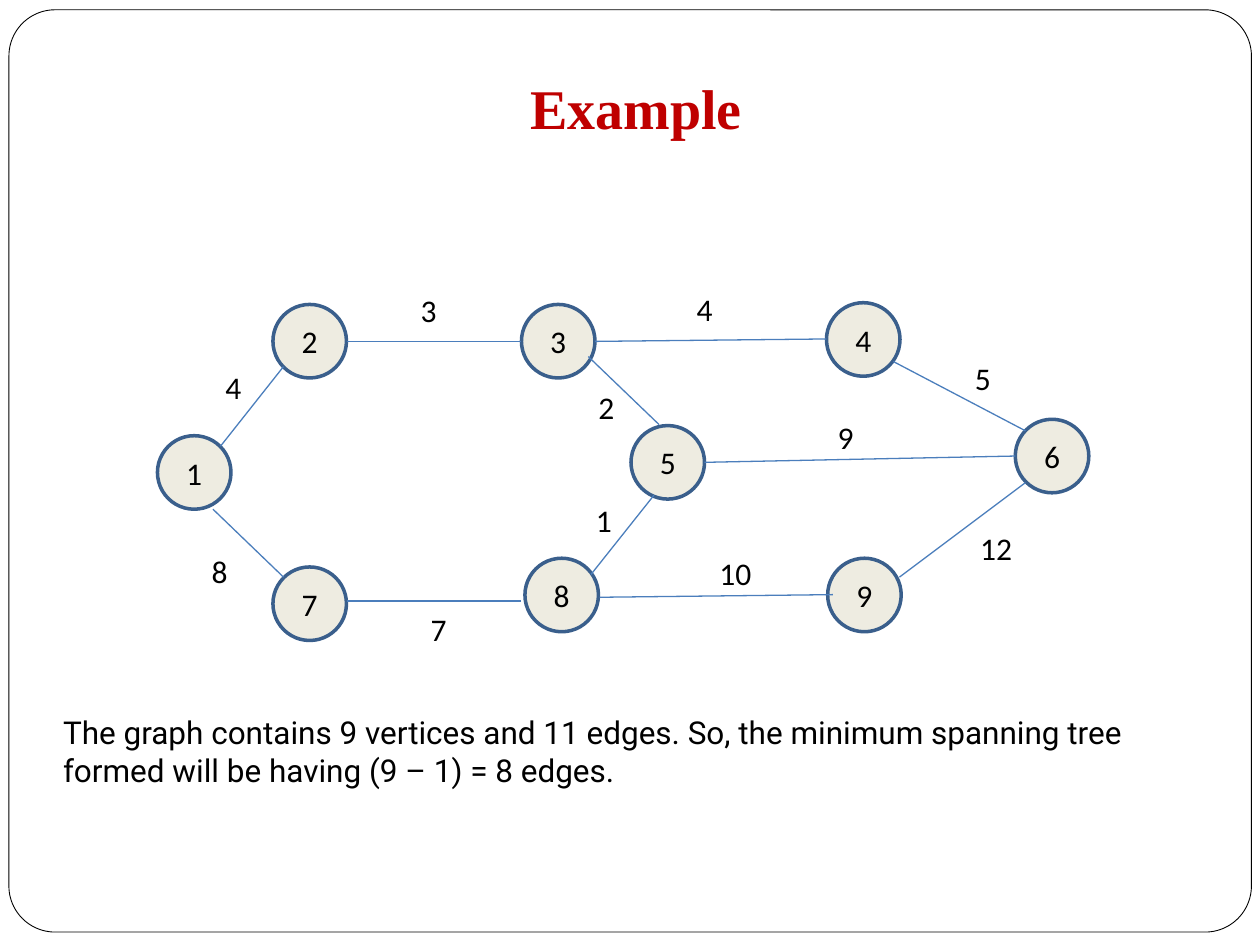
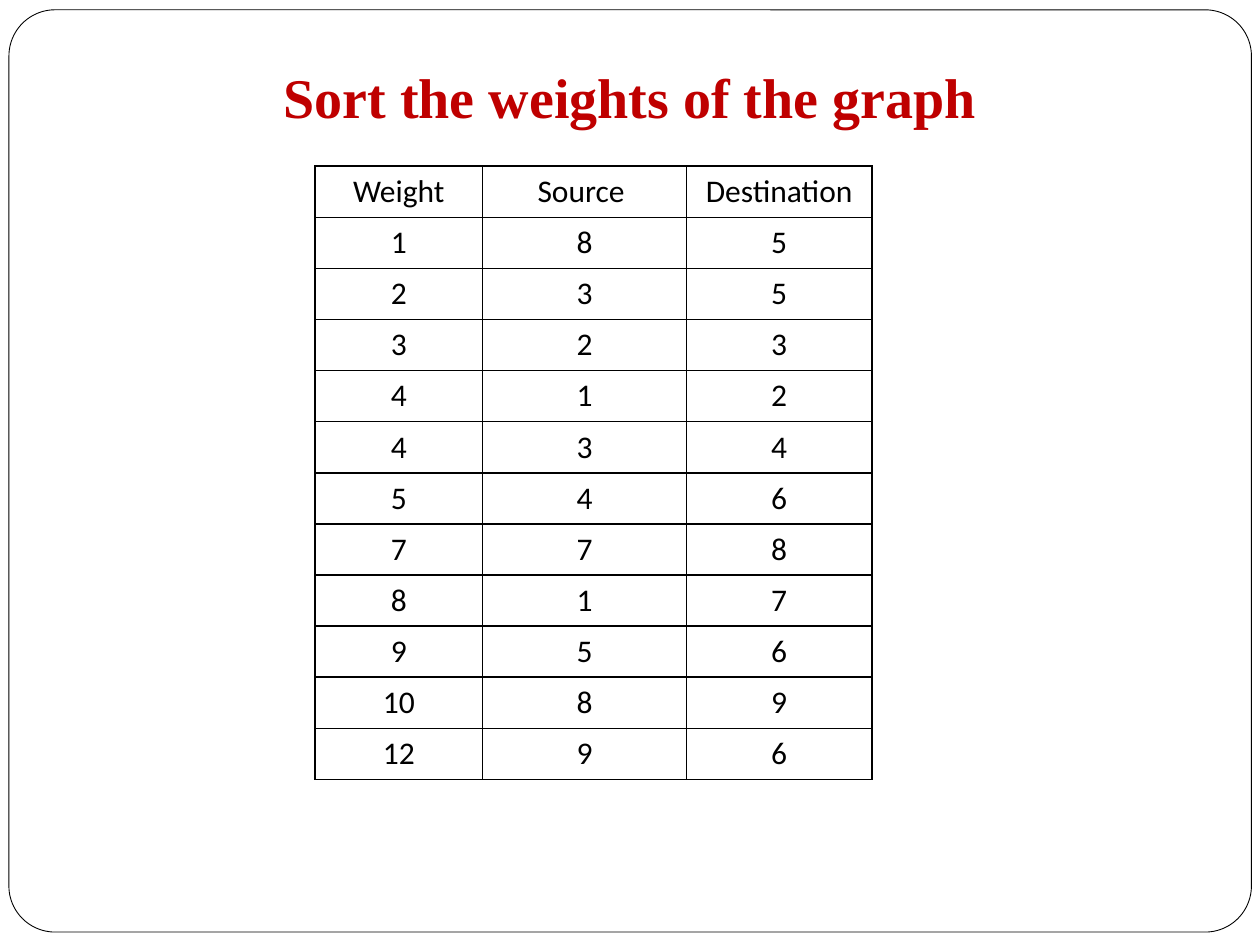
"""Build two slides on sorting the weighted edges of a graph."""
from typing import NamedTuple

from lxml.etree import SubElement
from pptx import Presentation
from pptx.dml.color import RGBColor
from pptx.enum.shapes import MSO_CONNECTOR as Connector, MSO_SHAPE as Preset
from pptx.enum.text import MSO_ANCHOR as Anchor, PP_ALIGN as Align
from pptx.oxml.ns import qn
from pptx.slide import Slide
from pptx.table import _Cell as Cell
from pptx.text.text import TextFrame
from pptx.util import Pt

COLORS = {
    "title": "BF0000",
    "text": "000000",
    "frame": "000000",
    "node": "EEECE1",
    "outline": "3A5F8C",
    "edge": "4B7EBC",
}
SLIDE_WIDTH, SLIDE_HEIGHT = 720, 540
NODE_SIZE = 42
LABEL_HEIGHT = 29
LABEL_INSETS, DIGIT_WIDTH = 14.4, 9.1
TABLE_LEFT, TABLE_TOP, ROW_HEIGHT = 180, 95, 29.22
COLUMN_WIDTHS = (95.8, 116.6, 105.8)
HEADERS = ("Weight", "Source ", "Destination")


class Point(NamedTuple):
    x: float
    y: float


class TextStyle(NamedTuple):
    font: str
    size: float
    color: str
    bold: bool = False


class Node(NamedTuple):
    name: int
    corner: Point


class Edge(NamedTuple):
    weight: int
    source: int
    destination: int
    start: Point
    end: Point
    label: Point


TITLE = TextStyle("Times New Roman", 32, "title", True)
BODY = TextStyle("Roboto", 18, "text")
GRAPH = TextStyle("Calibri", 18, "text")

NODES = (
    Node(1, Point(90, 249)),
    Node(2, Point(156, 174)),
    Node(3, Point(298, 174)),
    Node(4, Point(472.3, 173)),
    Node(5, Point(360.6, 243.2)),
    Node(6, Point(580.2, 239.6)),
    Node(7, Point(156, 324)),
    Node(8, Point(300, 319)),
    Node(9, Point(473, 319)),
)
EDGES = (
    Edge(4, 1, 2, Point(126, 255), Point(162, 209.5), Point(121.7, 206.6)),
    Edge(8, 1, 7, Point(121.7, 291), Point(162, 329.8), Point(113.8, 311.8)),
    Edge(3, 2, 3, Point(198, 195), Point(298, 195), Point(233.3, 162.7)),
    Edge(7, 7, 8, Point(198, 343.5), Point(298, 343.5), Point(239, 344.9)),
    Edge(2, 3, 5, Point(336.2, 203.8), Point(376.6, 242.6), Point(334.8, 218.2)),
    Edge(1, 8, 5, Point(337.7, 328.3), Point(373.7, 283), Point(333.4, 283)),
    Edge(9, 5, 6, Point(402.5, 264.2), Point(580.3, 260.6), Point(471.6, 235.4)),
    Edge(4, 3, 4, Point(340, 195.1), Point(472.3, 193.7), Point(391, 162)),
    Edge(10, 8, 9, Point(342.7, 341.3), Point(476, 339.8), Point(404, 313.2)),
    Edge(5, 4, 6, Point(510.5, 206.6), Point(586, 246.2), Point(550, 201.6)),
    Edge(12, 9, 6, Point(514, 329.8), Point(586, 275.8), Point(553, 298.8)),
)


def rgb(name: str) -> RGBColor:
    return RGBColor.from_string(COLORS[name])


def write(frame: TextFrame, text: str, style: TextStyle, align: Align = Align.LEFT) -> None:
    paragraph = frame.paragraphs[0]
    paragraph.alignment = align
    run = paragraph.add_run()
    run.text = text
    font = run.font
    font.name, font.size, font.bold = style.font, Pt(style.size), style.bold
    font.color.rgb = rgb(style.color)


def add_text(slide: Slide, corner: Point, width: float, height: float, text: str,
             style: TextStyle, wrap: bool = True) -> TextFrame:
    box = slide.shapes.add_textbox(Pt(corner.x), Pt(corner.y), Pt(width), Pt(height))
    box.text_frame.word_wrap = wrap
    write(box.text_frame, text, style)
    return box.text_frame


def add_framed_slide(presentation: Presentation, title: str, corner: Point, width: float) -> Slide:
    slide = presentation.slides.add_slide(presentation.slide_layouts[6])
    border = slide.shapes.add_shape(Preset.ROUNDED_RECTANGLE, Pt(5.1), Pt(5.6), Pt(710), Pt(527))
    border.adjustments[0] = 0.05
    border.shadow.inherit = False
    border.fill.background()
    border.line.color.rgb = rgb("frame")
    border.line.width = Pt(0.5)
    frame = add_text(slide, corner, width, 39, title, TITLE)
    frame.margin_left = frame.margin_right = frame.margin_top = frame.margin_bottom = 0
    return slide


def add_node(slide: Slide, node: Node) -> None:
    shape = slide.shapes.add_shape(Preset.OVAL, Pt(node.corner.x), Pt(node.corner.y),
                                   Pt(NODE_SIZE), Pt(NODE_SIZE))
    shape.shadow.inherit = False
    shape.fill.solid()
    shape.fill.fore_color.rgb = rgb("node")
    shape.line.color.rgb = rgb("outline")
    shape.line.width = Pt(2)
    shape.text_frame.vertical_anchor = Anchor.MIDDLE
    write(shape.text_frame, str(node.name), GRAPH, Align.CENTER)


def add_edge(slide: Slide, edge: Edge) -> None:
    connector = slide.shapes.add_connector(
        Connector.STRAIGHT, *(Pt(value) for value in (*edge.start, *edge.end)))
    connector.line.color.rgb = rgb("edge")
    connector.line.width = Pt(0.75)
    SubElement(connector._element.spPr, qn("a:effectLst"))
    weight = str(edge.weight)
    add_text(slide, edge.label, LABEL_INSETS + DIGIT_WIDTH * len(weight), LABEL_HEIGHT,
             weight, GRAPH, wrap=False)


def style_cell(cell: Cell) -> None:
    properties = cell._tc.get_or_add_tcPr()
    for side in ("a:lnL", "a:lnR", "a:lnT", "a:lnB"):
        line = SubElement(properties, qn(side), w=str(Pt(1)))
        fill = SubElement(line, qn("a:solidFill"))
        SubElement(fill, qn("a:srgbClr"), val=COLORS["frame"])
    cell.fill.background()


def add_edge_table(slide: Slide) -> None:
    rows = [HEADERS, *sorted(edge[:3] for edge in EDGES)]
    table = slide.shapes.add_table(
        len(rows), len(HEADERS), Pt(TABLE_LEFT), Pt(TABLE_TOP),
        Pt(sum(COLUMN_WIDTHS)), Pt(ROW_HEIGHT * len(rows))).table
    table.first_row = table.horz_banding = False
    for column, width in zip(table.columns, COLUMN_WIDTHS):
        column.width = Pt(width)
    for row, values in zip(table.rows, rows):
        row.height = Pt(ROW_HEIGHT)
        for cell, value in zip(row.cells, values):
            style_cell(cell)
            write(cell.text_frame, str(value), GRAPH, Align.CENTER)


def build_graph_slide(presentation: Presentation) -> None:
    slide = add_framed_slide(presentation, "Example", Point(303, 41.8), 133)
    for node in NODES:
        add_node(slide, node)
    for edge in EDGES:
        add_edge(slide, edge)
    add_text(slide, Point(29, 404), 673, 51,
             "The graph contains 9 vertices and 11 edges. So, the minimum spanning tree "
             "formed will be having (9 – 1) = 8 edges.", BODY)


def build_table_slide(presentation: Presentation) -> None:
    slide = add_framed_slide(presentation, "Sort the weights of the graph", Point(162, 36), 426)
    add_edge_table(slide)


def main() -> None:
    presentation = Presentation()
    presentation.slide_width, presentation.slide_height = Pt(SLIDE_WIDTH), Pt(SLIDE_HEIGHT)
    build_graph_slide(presentation)
    build_table_slide(presentation)
    presentation.save("out.pptx")


if __name__ == "__main__":
    main()
